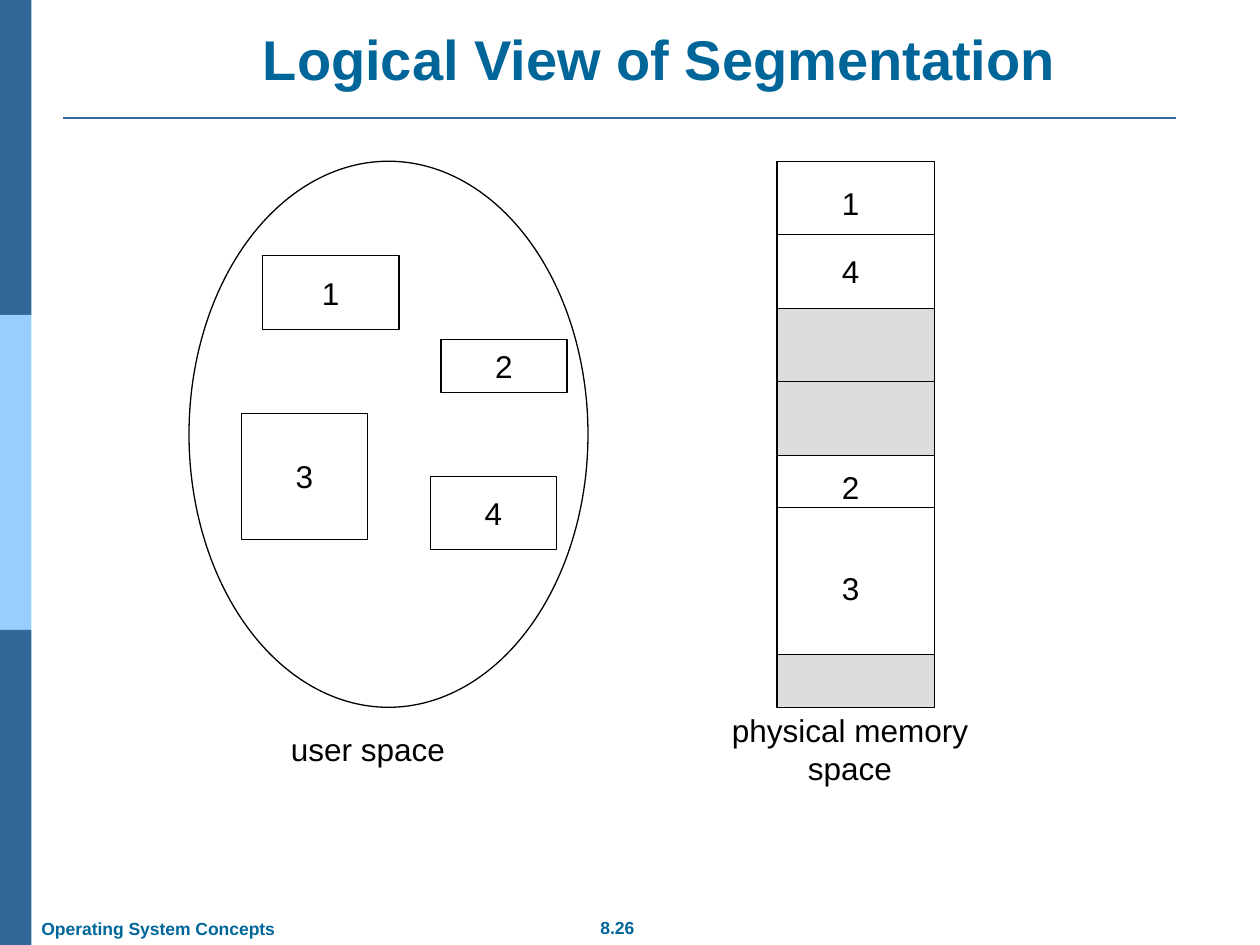
from dataclasses import dataclass
from typing import Optional

from lxml import etree
from pptx import Presentation
from pptx.dml.color import RGBColor
from pptx.enum.shapes import MSO_CONNECTOR, MSO_SHAPE
from pptx.enum.text import MSO_ANCHOR, MSO_AUTO_SIZE, PP_ALIGN
from pptx.oxml.ns import qn
from pptx.util import Inches, Pt

RECTANGLE, OVAL = MSO_SHAPE.RECTANGLE, MSO_SHAPE.OVAL
STRAIGHT = MSO_CONNECTOR.STRAIGHT
MIDDLE, BOTTOM = MSO_ANCHOR.MIDDLE, MSO_ANCHOR.BOTTOM
LEFT, CENTER = PP_ALIGN.LEFT, PP_ALIGN.CENTER
GROW = MSO_AUTO_SIZE.SHAPE_TO_FIT_TEXT
LEFT_SIDE, RIGHT_SIDE = 1, 3

SLIDE_WIDTH, SLIDE_HEIGHT = Inches(10), Inches(7.5)
ORIGIN_X, ORIGIN_Y = Inches(1.5), Inches(1.28)
CELL = Inches(1) / 12
MEMORY_COLUMN, MEMORY_COLUMNS = 56, 15
LABEL_COLUMN, LABEL_COLUMNS, TEXT_ROWS = 61, 4, 4.8


@dataclass(frozen=True)
class Theme:
    font: str = "Arial"
    heading: str = "006699"
    dark_bar: str = "336699"
    light_bar: str = "99CCFF"
    ink: str = "000000"
    paper: str = "FFFFFF"
    free: str = "DDDDDD"
    title_size: int = 32
    body_size: int = 18
    footer_size: int = 10
    rule_width: float = 1.5
    outline_width: float = 0.75


THEME = Theme()


@dataclass(frozen=True)
class Box:
    left: int
    top: int
    width: int
    height: int


@dataclass(frozen=True)
class Segment:
    name: str
    column: float
    row: float
    columns: float
    rows: float


@dataclass(frozen=True)
class MemoryBlock:
    rows: float
    color: str
    divider: Optional[float] = None


@dataclass(frozen=True)
class Label:
    text: str
    middle_row: float


SEGMENTS = (
    Segment("1", 7, 9, 13, 7),
    Segment("3", 5, 24, 12, 12),
    Segment("2", 24, 17, 12, 5),
    Segment("4", 23, 30, 12, 7),
)
MEMORY_BLOCKS = (
    MemoryBlock(14, THEME.paper, divider=7),
    MemoryBlock(14, THEME.free, divider=7),
    MemoryBlock(19, THEME.paper, divider=5),
    MemoryBlock(5, THEME.free),
)
MEMORY_LABELS = (Label("1", 4), Label("4", 10.4), Label("2", 31), Label("3", 40.6))


def grid(column: float, row: float, columns: float, rows: float) -> Box:
    return Box(
        round(ORIGIN_X + column * CELL), round(ORIGIN_Y + row * CELL),
        round(columns * CELL), round(rows * CELL),
    )


def share(left: float, top: float, width: float, height: float) -> Box:
    return Box(
        round(left * SLIDE_WIDTH), round(top * SLIDE_HEIGHT),
        round(width * SLIDE_WIDTH), round(height * SLIDE_HEIGHT),
    )


def write(frame, text: str, size: int, color: str, bold: bool = False,
          alignment=CENTER, anchor=MIDDLE) -> None:
    frame.word_wrap = False
    frame.vertical_anchor = anchor
    paragraph = frame.paragraphs[0]
    paragraph.text = text
    paragraph.alignment = alignment
    paragraph.font.name = THEME.font
    paragraph.font.size = Pt(size)
    paragraph.font.bold = bold
    paragraph.font.color.rgb = RGBColor.from_string(color)


def add_block(container, kind, box: Box, fill: str, outlined: bool = True):
    shape = container.add_shape(kind, box.left, box.top, box.width, box.height)
    shape.shadow.inherit = False
    shape.fill.solid()
    shape.fill.fore_color.rgb = RGBColor.from_string(fill)
    if outlined:
        shape.line.color.rgb = RGBColor.from_string(THEME.ink)
        shape.line.width = Pt(THEME.outline_width)
    else:
        shape.line.fill.background()
    return shape


def add_text(container, box: Box, text: str, size: int = THEME.body_size,
             color: str = THEME.ink, bold: bool = False, alignment=CENTER,
             anchor=MIDDLE, grow: bool = True) -> None:
    shape = container.add_textbox(box.left, box.top, box.width, box.height)
    write(shape.text_frame, text, size, color, bold, alignment, anchor)
    if grow:
        shape.text_frame.auto_size = GROW


def add_rule(container, box: Box, color: str, width: float):
    connector = container.add_connector(
        STRAIGHT, box.left, box.top, box.left + box.width, box.top + box.height)
    connector.line.color.rgb = RGBColor.from_string(color)
    connector.line.width = Pt(width)
    etree.SubElement(connector._element.spPr, qn("a:effectLst"))
    return connector


def draw_frame(shapes) -> None:
    for index, color in enumerate((THEME.dark_bar, THEME.light_bar, THEME.dark_bar)):
        add_block(shapes, RECTANGLE, share(0, index / 3, 0.025, 1 / 3), color, outlined=False)
    add_rule(shapes, share(0.05, 0.125, 0.883, 0), THEME.dark_bar, THEME.rule_width)
    add_text(shapes, share(0.441, 0.964, 0.098, 0.036), "8.26",
             THEME.footer_size, THEME.heading, bold=True)
    add_text(shapes, share(0.023, 0.965, 0.205, 0.036), "Operating System Concepts",
             THEME.footer_size, THEME.heading, bold=True, alignment=LEFT)
    add_text(shapes, share(0.097, 0.02, 0.853, 0.084), "Logical View of Segmentation",
             THEME.title_size, THEME.heading, bold=True, anchor=BOTTOM, grow=False)


def draw_user_space(shapes) -> None:
    add_block(shapes, OVAL, grid(0, 0, 38, 52), THEME.paper)
    for segment in SEGMENTS:
        box = grid(segment.column, segment.row, segment.columns, segment.rows)
        shape = add_block(shapes, RECTANGLE, box, THEME.paper)
        write(shape.text_frame, segment.name, THEME.body_size, THEME.ink)


def draw_memory(shapes) -> None:
    memory = shapes.add_group_shape().shapes
    row = 0
    for block in MEMORY_BLOCKS:
        box = grid(MEMORY_COLUMN, row, MEMORY_COLUMNS, block.rows)
        shape = add_block(memory, RECTANGLE, box, block.color)
        if block.divider is not None:
            line = grid(MEMORY_COLUMN, row + block.divider, MEMORY_COLUMNS, 0)
            connector = add_rule(memory, line, THEME.ink, THEME.outline_width)
            if block.divider * 2 == block.rows:
                connector.begin_connect(shape, LEFT_SIDE)
                connector.end_connect(shape, RIGHT_SIDE)
        row += block.rows
    for label in MEMORY_LABELS:
        top = label.middle_row - TEXT_ROWS / 2
        add_text(memory, grid(LABEL_COLUMN, top, LABEL_COLUMNS, TEXT_ROWS), label.text)


def main() -> None:
    presentation = Presentation()
    presentation.slide_width, presentation.slide_height = SLIDE_WIDTH, SLIDE_HEIGHT
    slide = presentation.slides.add_slide(presentation.slide_layouts[6])
    draw_frame(slide.shapes)
    draw_user_space(slide.shapes)
    draw_memory(slide.shapes)
    add_text(slide.shapes, grid(8.5, 53.6, 17.9, TEXT_ROWS), "user space ")
    add_text(slide.shapes, grid(46.1, 53.6, 33.7, TEXT_ROWS), "physical memory space")
    presentation.save("out.pptx")


if __name__ == "__main__":
    main()
